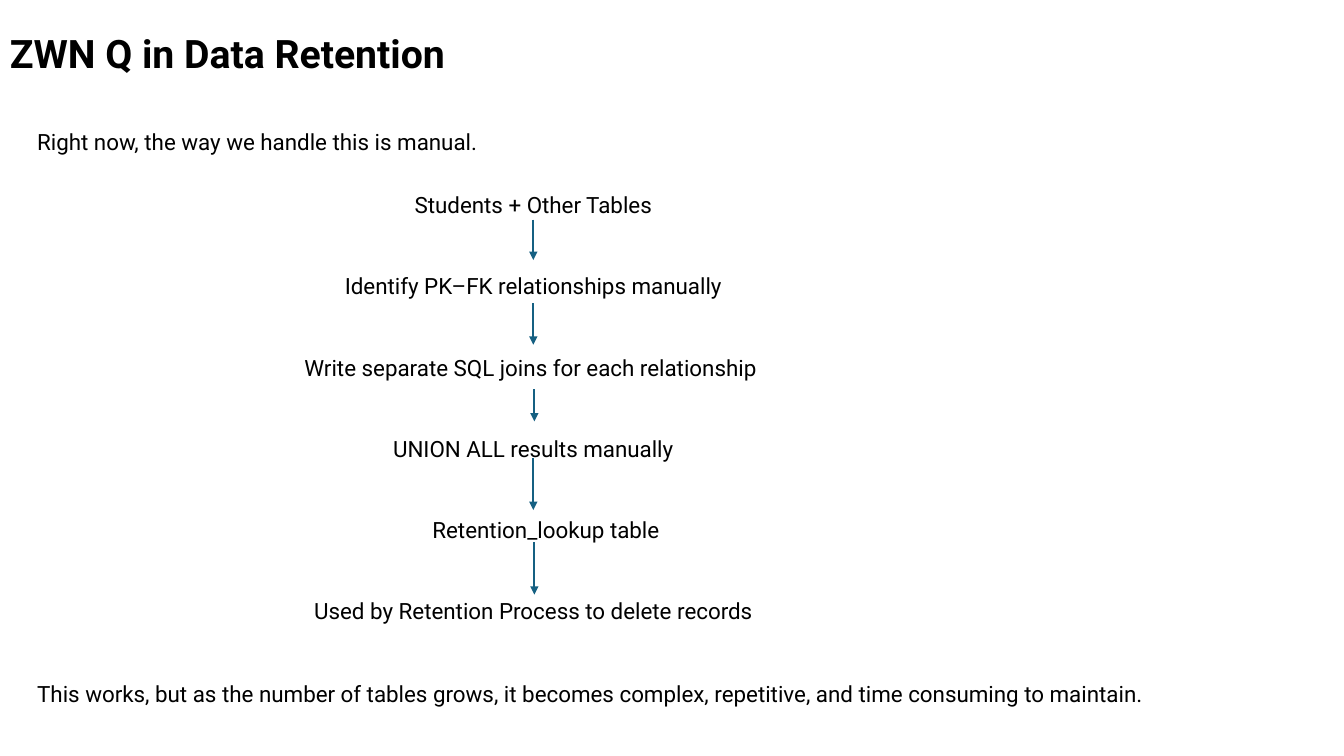
from dataclasses import dataclass

from lxml import etree
from pptx import Presentation
from pptx.dml.color import RGBColor
from pptx.enum.shapes import MSO_CONNECTOR
from pptx.enum.text import MSO_ANCHOR, PP_ALIGN
from pptx.oxml.ns import qn
from pptx.slide import Slide
from pptx.util import Inches, Pt

STRAIGHT = MSO_CONNECTOR.STRAIGHT
TOP, BOTTOM = MSO_ANCHOR.TOP, MSO_ANCHOR.BOTTOM
LEFT, CENTER = PP_ALIGN.LEFT, PP_ALIGN.CENTER

COLORS = {"text": "000000", "arrow": "156082"}
FONT = "Roboto"
STEP_GAP = Pt(38.8)


@dataclass(frozen=True)
class Line:
    text: str
    indent: float = 0


@dataclass(frozen=True)
class TextBlock:
    left: float
    top: float
    width: float
    height: float
    lines: tuple[Line, ...]
    size: int = 16
    bold: bool = False
    align: PP_ALIGN = LEFT
    anchor: MSO_ANCHOR = TOP
    line_spacing: float = 1.0


@dataclass(frozen=True)
class Arrow:
    x: float
    top: float
    bottom: float


TEXT_BLOCKS = (
    TextBlock(0, 0, 13.55, 0.81, (Line("ZWN Q in Data Retention"),),
              size=28, bold=True, anchor=BOTTOM, line_spacing=0.9),
    TextBlock(0.27, 1.25, 11.32, 0.41,
              (Line("Right now, the way we handle this is manual."),), line_spacing=0.9),
    TextBlock(-0.74, 1.85, 12.06, 4.41, (
        Line("Students + Other Tables"),
        Line("Identify PK–FK relationships manually"),
        Line("Write separate SQL joins for each relationship "),
        Line("UNION ALL results manually"),
        Line("Retention_lookup table", indent=0.25),
        Line("Used by Retention Process to delete records"),
    ), align=CENTER),
    TextBlock(0.27, 6.7, 13.55, 0.37, (
        Line("This works, but as the number of tables grows, it becomes complex, "
             "repetitive, and time consuming to maintain."),
    )),
)

ARROWS = (
    Arrow(5.29, 2.18, 2.58),
    Arrow(5.29, 3.01, 3.42),
    Arrow(5.3, 3.86, 4.18),
    Arrow(5.29, 4.54, 5.06),
    Arrow(5.3, 5.38, 5.9),
)


def add_text(page: Slide, block: TextBlock) -> None:
    box = page.shapes.add_textbox(Inches(block.left), Inches(block.top),
                                  Inches(block.width), Inches(block.height))
    frame = box.text_frame
    frame.word_wrap = True
    frame.vertical_anchor = block.anchor
    for index, line in enumerate(block.lines):
        para = frame.add_paragraph() if index else frame.paragraphs[0]
        para.text = line.text
        para.alignment = block.align
        para.line_spacing = block.line_spacing
        if index:
            para.space_before = STEP_GAP
        if line.indent:
            para._p.get_or_add_pPr().set("marL", str(Inches(line.indent)))
        para.font.name = FONT
        para.font.size = Pt(block.size)
        para.font.bold = block.bold
        para.font.color.rgb = RGBColor.from_string(COLORS["text"])


def add_arrow(page: Slide, arrow: Arrow) -> None:
    connector = page.shapes.add_connector(STRAIGHT, Inches(arrow.x), Inches(arrow.top),
                                          Inches(arrow.x), Inches(arrow.bottom))
    connector.line.color.rgb = RGBColor.from_string(COLORS["arrow"])
    connector.line.width = Pt(1.5)
    etree.SubElement(connector.line._get_or_add_ln(), qn("a:tailEnd"), type="triangle")
    etree.SubElement(connector._element.spPr, qn("a:effectLst"))


def main() -> None:
    deck = Presentation()
    deck.slide_width, deck.slide_height = Inches(13.33), Inches(7.5)
    page = deck.slides.add_slide(deck.slide_layouts[6])
    for block in TEXT_BLOCKS:
        add_text(page, block)
    for arrow in ARROWS:
        add_arrow(page, arrow)
    deck.save("out.pptx")


if __name__ == "__main__":
    main()
